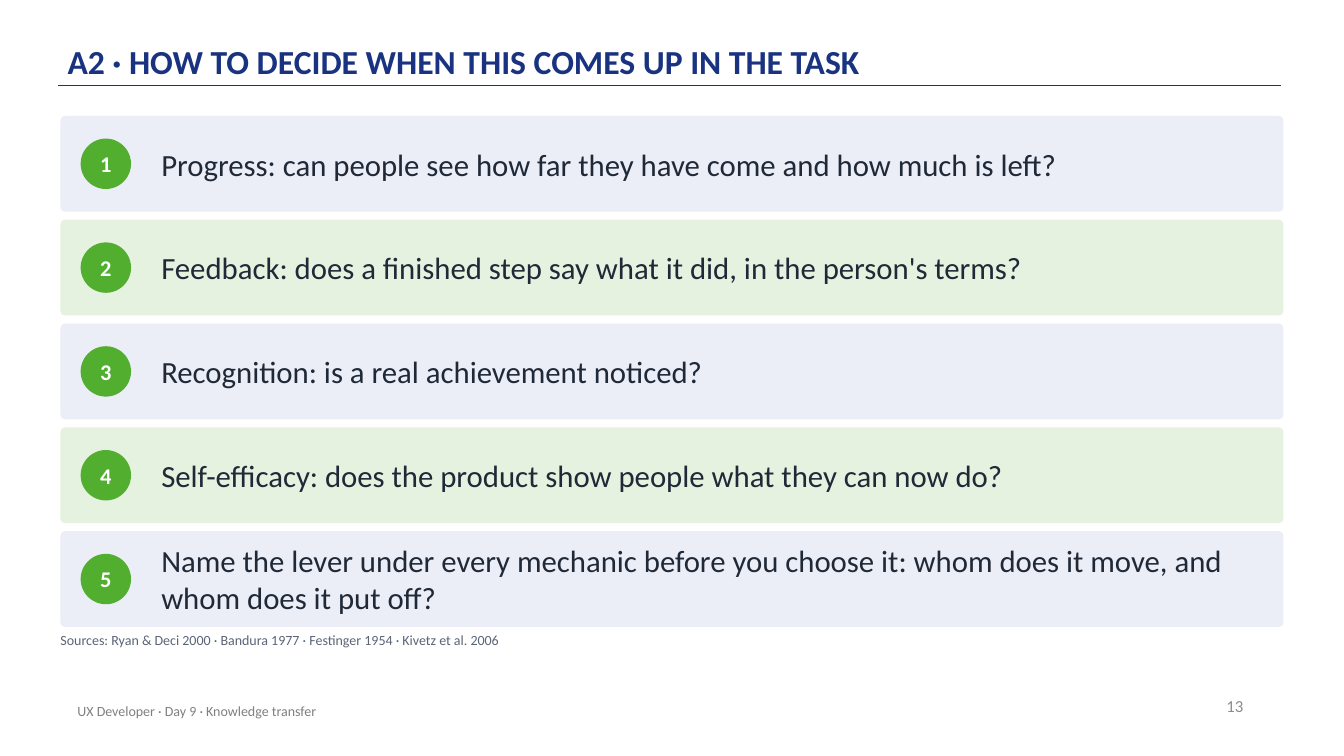
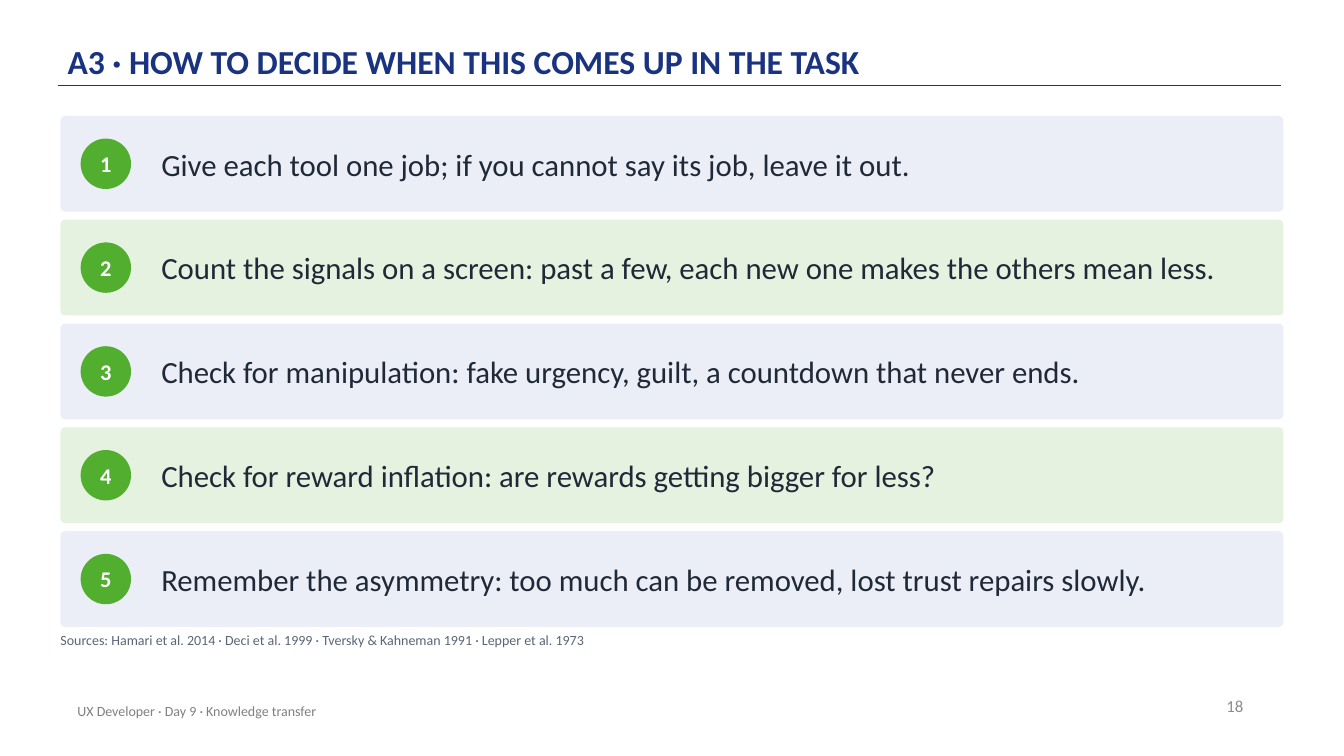
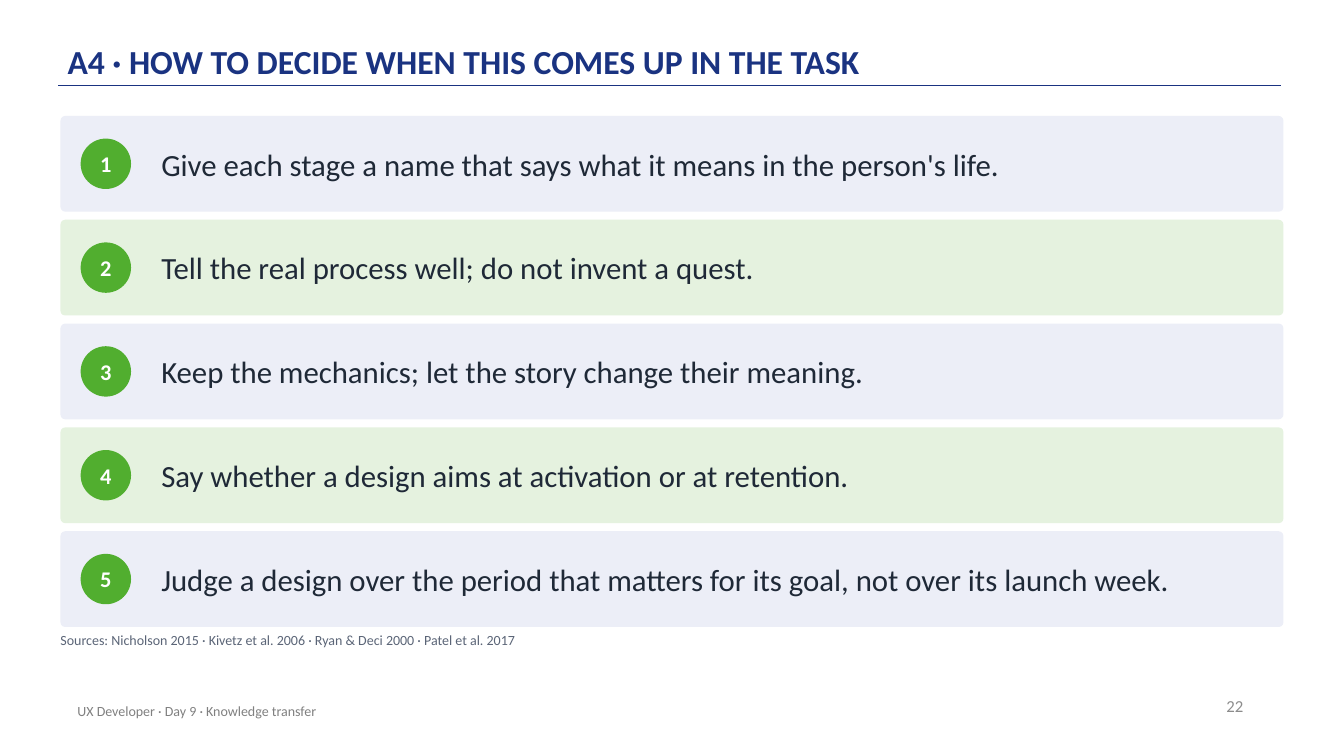
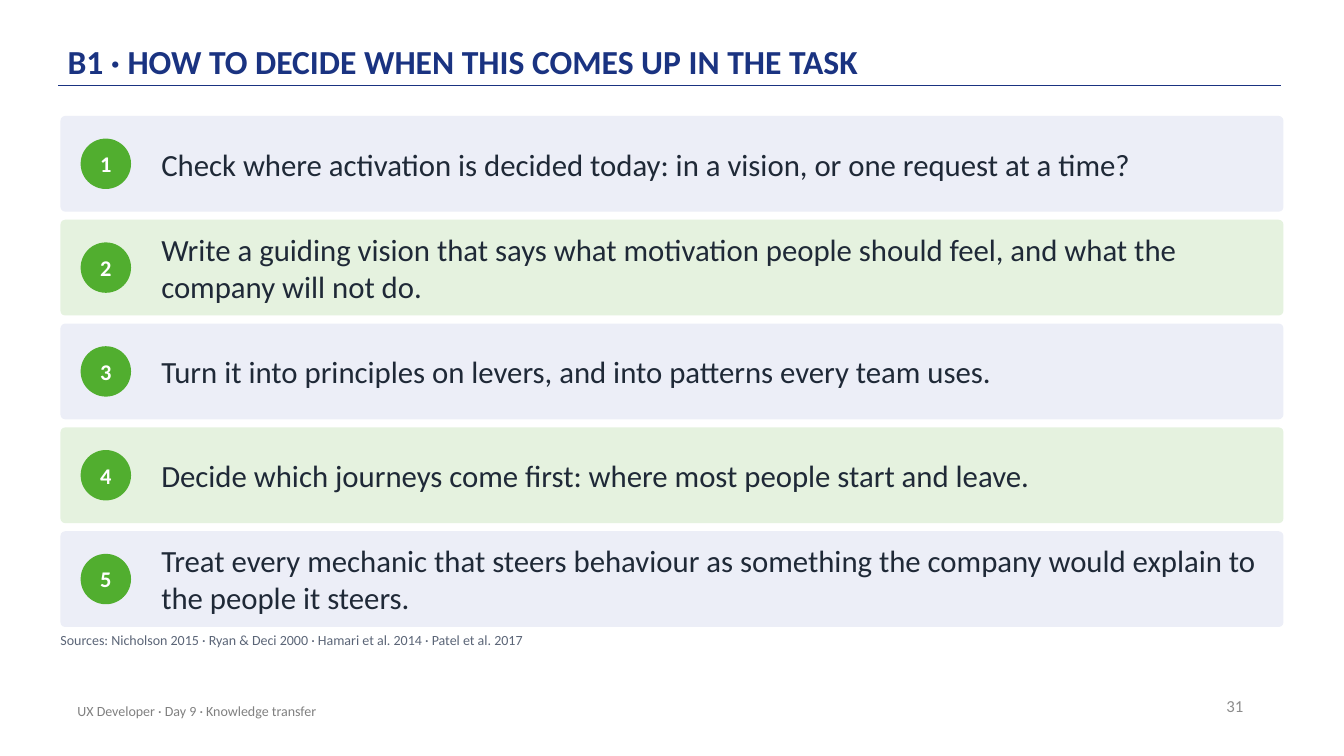
import dataclasses

import pptx
import pptx.dml.color
import pptx.enum.shapes
import pptx.enum.text
import pptx.oxml.ns
import pptx.util
from pptx.util import Inches

SHAPE = pptx.enum.shapes.MSO_SHAPE
ALIGN = pptx.enum.text.PP_ALIGN
ANCHOR = pptx.enum.text.MSO_ANCHOR


@dataclasses.dataclass(frozen=True)
class Theme:
    font: str = "Calibri"
    navy: str = "1A3381"
    green: str = "51AE2F"
    white: str = "FFFFFF"
    ink: str = "1F2937"
    source_grey: str = "5B6577"
    footer_grey: str = "808080"
    number_grey: str = "8C8C8C"
    bands: tuple = ("ECEEF7", "E5F2DF")
    title_size: int = 24
    body_size: int = 22
    badge_size: int = 16
    number_size: int = 12
    small_size: int = 10


THEME = Theme()
TITLE = "HOW TO DECIDE WHEN THIS COMES UP IN THE TASK"
FOOTER = "UX Developer · Day 9 · Knowledge transfer"

LEFT = 0.6
ROW_TOP = 1.15
ROW_WIDTH = 12.13
ROW_HEIGHT = 0.95
ROW_GAP = 0.08
BADGE = 0.5

SLIDES = [
    ("A2", 13, [
        "Progress: can people see how far they have come and how much is left?",
        "Feedback: does a finished step say what it did, in the person's terms?",
        "Recognition: is a real achievement noticed?",
        "Self-efficacy: does the product show people what they can now do?",
        "Name the lever under every mechanic before you choose it: whom does it move, and whom does it put off?",
    ], "Ryan & Deci 2000 · Bandura 1977 · Festinger 1954 · Kivetz et al. 2006"),
    ("A3", 18, [
        "Give each tool one job; if you cannot say its job, leave it out.",
        "Count the signals on a screen: past a few, each new one makes the others mean less.",
        "Check for manipulation: fake urgency, guilt, a countdown that never ends.",
        "Check for reward inflation: are rewards getting bigger for less?",
        "Remember the asymmetry: too much can be removed, lost trust repairs slowly.",
    ], "Hamari et al. 2014 · Deci et al. 1999 · Tversky & Kahneman 1991 · Lepper et al. 1973"),
    ("A4", 22, [
        "Give each stage a name that says what it means in the person's life.",
        "Tell the real process well; do not invent a quest.",
        "Keep the mechanics; let the story change their meaning.",
        "Say whether a design aims at activation or at retention.",
        "Judge a design over the period that matters for its goal, not over its launch week.",
    ], "Nicholson 2015 · Kivetz et al. 2006 · Ryan & Deci 2000 · Patel et al. 2017"),
    ("B1", 31, [
        "Check where activation is decided today: in a vision, or one request at a time?",
        "Write a guiding vision that says what motivation people should feel, and what the company will not do.",
        "Turn it into principles on levers, and into patterns every team uses.",
        "Decide which journeys come first: where most people start and leave.",
        "Treat every mechanic that steers behaviour as something the company would explain to the people it steers.",
    ], "Nicholson 2015 · Ryan & Deci 2000 · Hamari et al. 2014 · Patel et al. 2017"),
]


def rgb(color):
    return pptx.dml.color.RGBColor.from_string(color)


def write(sp, text, *, size, color, bold=False, align=ALIGN.LEFT,
          anchor=ANCHOR.MIDDLE, inset=(0, 0), line_spacing=None):
    tf = sp.text_frame
    tf.word_wrap = True
    tf.vertical_anchor = anchor
    tf.margin_left = tf.margin_right = Inches(inset[0])
    tf.margin_top = tf.margin_bottom = Inches(inset[1])
    p = tf.paragraphs[0]
    p.alignment = align
    if line_spacing:
        p.line_spacing = line_spacing
    r = p.add_run()
    r.text = text
    r.font.name = THEME.font
    r.font.size = pptx.util.Pt(size)
    r.font.bold = bold
    r.font.color.rgb = rgb(color)


def add_text(s, box, text, **fmt):
    write(s.shapes.add_textbox(*map(Inches, box)), text, **fmt)


def add_filled(s, kind, box, fill):
    sp = s.shapes.add_shape(kind, *map(Inches, box))
    sp.shadow.inherit = False
    sp.fill.solid()
    sp.fill.fore_color.rgb = rgb(fill)
    sp.line.fill.background()
    return sp


def add_rule(s, x1, x2, y):
    line = s.shapes.add_connector(
        pptx.enum.shapes.MSO_CONNECTOR.STRAIGHT,
        Inches(x1), Inches(y), Inches(x2), Inches(y))
    line.line.color.rgb = rgb(THEME.navy)
    line.line.width = pptx.util.Pt(1)
    props = line._element.spPr
    props.append(props.makeelement(pptx.oxml.ns.qn("a:effectLst"), {}))


def add_frame(s, code, number):
    add_rule(s, 0.58, 12.71, 0.85)
    add_text(s, (0.67, 0.12, 11, 0.72), f"{code} · {TITLE}",
             size=THEME.title_size, color=THEME.navy, bold=True,
             anchor=ANCHOR.BOTTOM, inset=(0, 0.03), line_spacing=0.9)
    add_text(s, (9.43, 6.8, 3, 0.4), str(number), size=THEME.number_size,
             color=THEME.number_grey, align=ALIGN.RIGHT, inset=(0.1, 0.05))
    add_text(s, (0.67, 6.85, 6.7, 0.4), FOOTER, size=THEME.small_size,
             color=THEME.footer_grey, inset=(0.1, 0.05))


def add_row(s, index, text):
    top = ROW_TOP + index * (ROW_HEIGHT + ROW_GAP)
    band = add_filled(s, SHAPE.ROUNDED_RECTANGLE,
                      (LEFT, top, ROW_WIDTH, ROW_HEIGHT),
                      THEME.bands[index % len(THEME.bands)])
    band.adjustments[0] = 0.05
    badge = add_filled(s, SHAPE.OVAL,
                       (LEFT + 0.2, top + (ROW_HEIGHT - BADGE) / 2, BADGE, BADGE),
                       THEME.green)
    write(badge, str(index + 1), size=THEME.badge_size, color=THEME.white,
          bold=True, align=ALIGN.CENTER)
    add_text(s, (LEFT + 1, top, ROW_WIDTH - 1.2, ROW_HEIGHT), text,
             size=THEME.body_size, color=THEME.ink)


def add_checklist(prs, code, number, rows, sources):
    s = prs.slides.add_slide(prs.slide_layouts[6])
    add_frame(s, code, number)
    for index, text in enumerate(rows):
        add_row(s, index, text)
    add_text(s, (LEFT, 6.27, 12.1, 0.3), f"Sources: {sources}",
             size=THEME.small_size, color=THEME.source_grey, anchor=ANCHOR.TOP)


def main():
    prs = pptx.Presentation()
    prs.slide_width = Inches(13.33)
    prs.slide_height = Inches(7.5)
    for content in SLIDES:
        add_checklist(prs, *content)
    prs.save("out.pptx")


if __name__ == "__main__":
    main()
